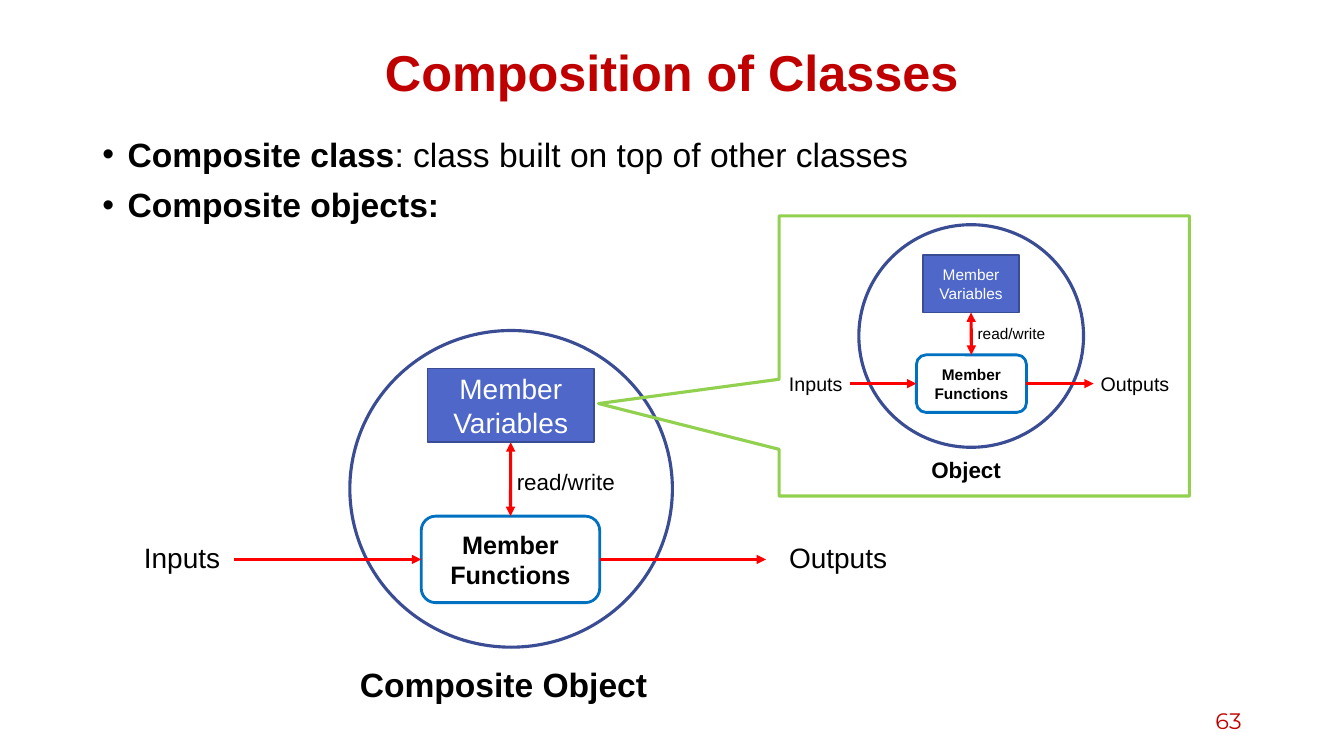
"""Builds the slide on composition of classes on a grid of 32 columns and 18 rows."""
from lxml import etree
from pptx import Presentation
from pptx import util as u
from pptx.dml.color import RGBColor
from pptx.enum import shapes, text
from pptx.oxml.ns import qn

THEME = {
    "font": "Arial", "number_font": "Montserrat",
    "red": "C00000", "black": "000000", "white": "FFFFFF",
    "box": "4E67C8", "edge": "3A4C94", "functions": "0070C0",
    "arrow": "FF0000", "callout": "92D050",
    "title": 36, "body": 24, "number": 16, "stroke": 2.25,
}
LEFT, CENTER, RIGHT = text.PP_ALIGN.LEFT, text.PP_ALIGN.CENTER, text.PP_ALIGN.RIGHT
TOP, MIDDLE = text.MSO_ANCHOR.TOP, text.MSO_ANCHOR.MIDDLE
KIND = shapes.MSO_SHAPE

deck = Presentation()
deck.slide_width, deck.slide_height = u.Inches(13.333), u.Inches(7.5)
page = deck.slides.add_slide(deck.slide_layouts[6])
COLUMN, ROW = deck.slide_width / 32, deck.slide_height / 18


def draw(kind, cell, edge, width, fill=None):
    """Draws a preset shape at a cell given as column, row, columns, rows."""
    left, top, wide, high = cell
    shape = page.shapes.add_shape(kind, int(left * COLUMN), int(top * ROW),
                                  int(wide * COLUMN), int(high * ROW))
    shape.shadow.inherit = False
    shape.line.color.rgb = RGBColor.from_string(THEME[edge])
    shape.line.width = u.Pt(width)
    if fill:
        shape.fill.solid()
        shape.fill.fore_color.rgb = RGBColor.from_string(THEME[fill])
    else:
        shape.fill.background()
    return shape


def write(target, paragraphs, size, color="black", align=LEFT, anchor=TOP, font="font"):
    """Writes paragraphs of (words, bold) runs into a shape or a new text box."""
    if isinstance(target, tuple):
        left, top, wide, high = target
        target = page.shapes.add_textbox(int(left * COLUMN), int(top * ROW),
                                         int(wide * COLUMN), int(high * ROW))
    frame = target.text_frame
    frame.word_wrap = True
    frame.vertical_anchor = anchor
    for index, runs in enumerate(paragraphs):
        para = frame.add_paragraph() if index else frame.paragraphs[0]
        para.alignment = align
        for words, bold in runs:
            span = para.add_run()
            span.text = words
            span.font.name = THEME[font]
            span.font.size = u.Pt(size)
            span.font.bold = bold
            span.font.color.rgb = RGBColor.from_string(THEME[color])
    return frame


title = write((2.2, 0.96, 27.6, 1.68), [[("Composition of Classes", True)]],
              THEME["title"], "red", CENTER, MIDDLE)
title.paragraphs[0].line_spacing = 0.9

body = write((2.2, 3.17, 27.6, 13.22), [
    [("Composite class", True), (": class built on top of other classes", False)],
    [("Composite objects:", True)],
], THEME["body"])
for index, para in enumerate(body.paragraphs):
    para.line_spacing = 0.9
    if index:
        para.space_before = u.Pt(10)
    settings = para._p.get_or_add_pPr()
    settings.set("marL", str(u.Inches(0.25)))
    settings.set("indent", str(-u.Inches(0.25)))
    etree.SubElement(settings, qn("a:buFont"), typeface="Arial")
    etree.SubElement(settings, qn("a:buChar"), char="•")

write((22.6, 16.68, 7.2, 0.96), [[("63", False)]], THEME["number"], "red",
      RIGHT, MIDDLE, "number_font")

diagrams = [
    {"variables": (10.18, 8.78, 3.96, 1.75), "circle": (8.33, 7.87, 7.68, 7.54),
     "functions": (10.03, 12.29, 4.25, 2.06), "flow": (5.57, 18.24),
     "box_sizes": (20, 18),
     "labels": [("Composite Object", True, 24, (8.33, 15.7, 7.68, 1.2)),
                ("Inputs", False, 20, (3.19, 12.74, 2.57, 1.06)),
                ("Outputs", False, 20, (18.55, 12.74, 3.17, 1.06)),
                ("read/write", False, 16, (12.07, 11.04, 3.91, 0.89))]},
    {"variables": (21.98, 6.07, 2.28, 1.37), "circle": (20.45, 5.35, 5.35, 5.3),
     "functions": (21.82, 8.45, 2.62, 1.37), "flow": (20.23, 26.04),
     "box_sizes": (11, 11),
     "labels": [("Object", True, 16, (21.94, 10.75, 2.42, 0.89)),
                ("Inputs", False, 14, (18.55, 8.74, 1.95, 0.82)),
                ("Outputs", False, 14, (25.97, 8.74, 2.3, 0.82)),
                ("read/write", False, 11, (23.04, 7.61, 2.28, 0.7))]},
]
for diagram in diagrams:
    variables_size, functions_size = diagram["box_sizes"]
    variables = draw(KIND.RECTANGLE, diagram["variables"], "edge", 1, "box")
    write(variables, [[("Member Variables", False)]], variables_size, "white", CENTER, MIDDLE)
    draw(KIND.OVAL, diagram["circle"], "edge", THEME["stroke"])
    functions = draw(KIND.ROUNDED_RECTANGLE, diagram["functions"], "functions", 2)
    write(functions, [[("Member Functions", True)]], functions_size, "black", CENTER, MIDDLE)

    start, end = (int(column * COLUMN) for column in diagram["flow"])
    middle = functions.top + functions.height // 2
    arrows = [page.shapes.add_connector(shapes.MSO_CONNECTOR.STRAIGHT, start, middle, end, middle)
              for _ in range(3)]
    inward, outward, access = arrows
    inward.end_connect(functions, 1)
    outward.begin_connect(functions, 3)
    access.begin_connect(variables, 2)
    access.end_connect(functions, 0)
    for arrow in arrows:
        arrow.line.color.rgb = RGBColor.from_string(THEME["arrow"])
        arrow.line.width = u.Pt(THEME["stroke"])
        stroke = arrow.line._get_or_add_ln()
        if arrow is access:
            etree.SubElement(stroke, qn("a:headEnd"), type="triangle")
        etree.SubElement(stroke, qn("a:tailEnd"), type="triangle")
        etree.SubElement(arrow._element.spPr, qn("a:effectLst"))

    for words, bold, size, cell in diagram["labels"]:
        write(cell, [[(words, bold)]], size)

callout = draw(KIND.RECTANGULAR_CALLOUT, (18.55, 5.14, 9.77, 6.67), "callout", THEME["stroke"])
callout.adjustments[0], callout.adjustments[1] = -0.94, 0.17

deck.save("out.pptx")
